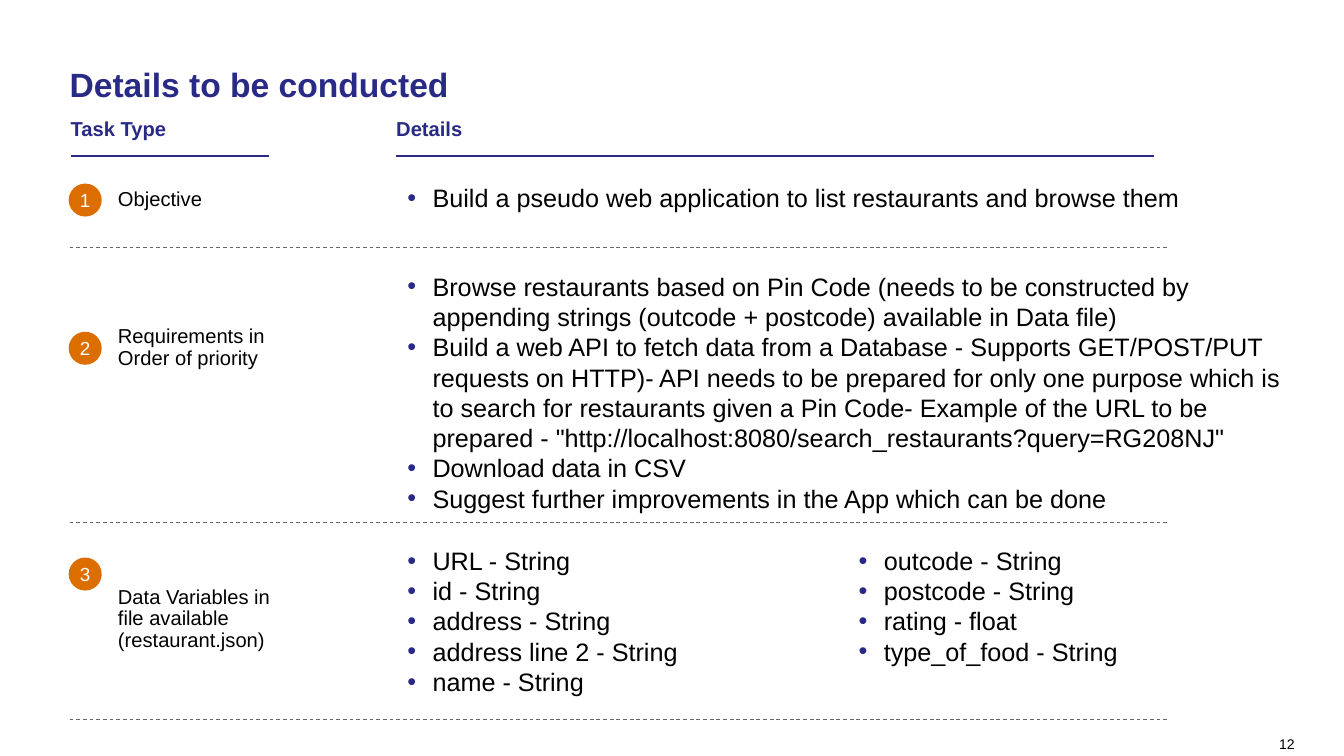
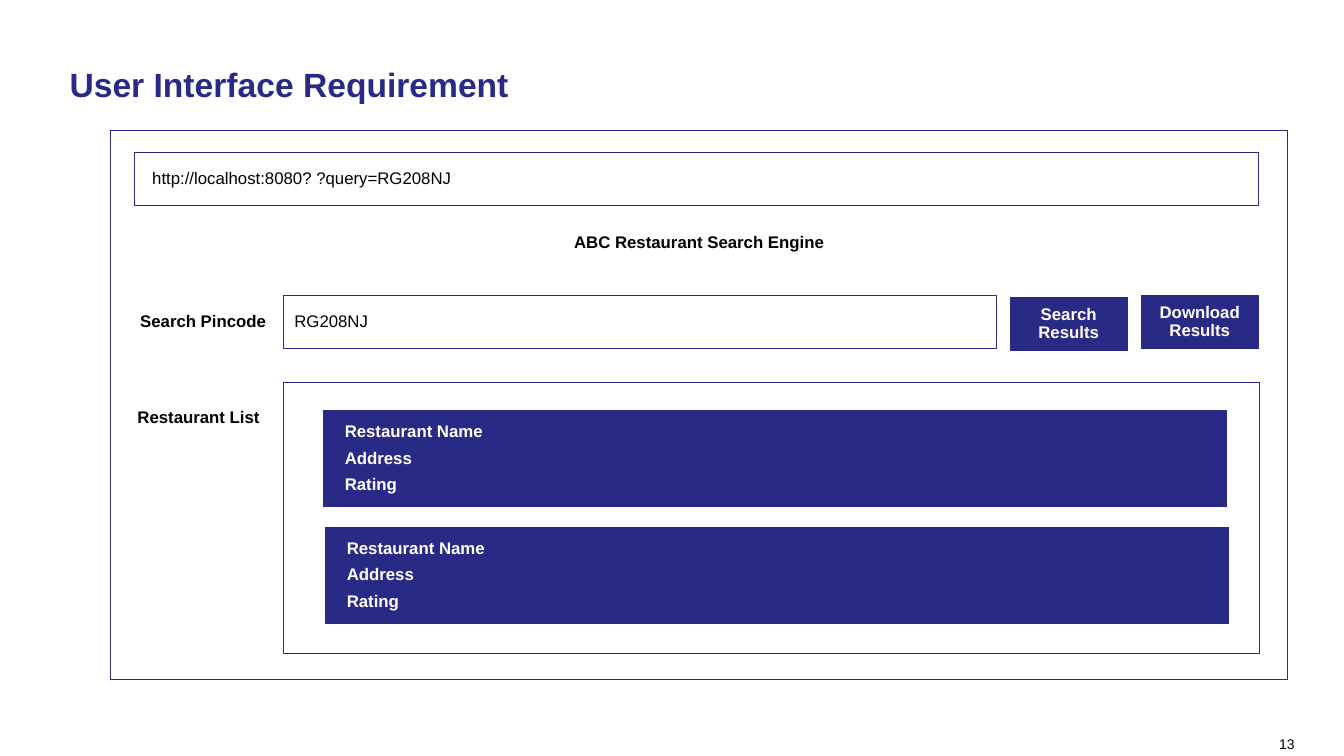
from lxml import etree
from pptx import Presentation
from pptx.dml.color import RGBColor
from pptx.enum.dml import MSO_LINE
from pptx.enum.shapes import MSO_CONNECTOR, MSO_SHAPE
from pptx.enum.text import MSO_ANCHOR, PP_ALIGN
from pptx.oxml.ns import qn
from pptx.util import Inches, Pt

NAVY = RGBColor(0x29, 0x29, 0x86)
ORANGE = RGBColor(0xDC, 0x6E, 0x00)
GREY = RGBColor(0x66, 0x66, 0x66)
BLACK = RGBColor(0x00, 0x00, 0x00)
WHITE = RGBColor(0xFF, 0xFF, 0xFF)
FONT = "Arial"
TITLE_ONLY = 5


def add_bullet(p):
    """Give a paragraph a navy round bullet with a hanging indent."""
    pPr = p._p.get_or_add_pPr()
    pPr.set("marL", str(Inches(0.37)))
    pPr.set("indent", str(Inches(-0.25)))
    color = etree.SubElement(pPr, qn("a:buClr"))
    etree.SubElement(color, qn("a:srgbClr"), val=str(NAVY))
    etree.SubElement(pPr, qn("a:buFont"), typeface=FONT)
    etree.SubElement(pPr, qn("a:buChar"), char="•")


def write(sp, text, size=12, color=BLACK, bold=False, align=PP_ALIGN.LEFT,
          anchor=MSO_ANCHOR.MIDDLE, spacing=0.9, after=6, margins=(0, 0, 0, 0),
          wrap=True, bullets=False, columns=1):
    """Write text into a shape, one paragraph per line."""
    tf = sp.text_frame
    tf.word_wrap = wrap
    tf.vertical_anchor = anchor
    tf.margin_left, tf.margin_top, tf.margin_right, tf.margin_bottom = map(Inches, margins)
    if columns > 1:
        tf._txBody.bodyPr.set("numCol", str(columns))
    for i, line in enumerate(text.split("\n")):
        p = tf.paragraphs[0] if i == 0 else tf.add_paragraph()
        p.alignment = align
        p.line_spacing = spacing
        p.space_before, p.space_after = Pt(0), Pt(after)
        if bullets:
            add_bullet(p)
        r = p.add_run()
        r.text = line
        r.font.name, r.font.size, r.font.bold = FONT, Pt(size), bold
        r.font.color.rgb = color


class Deck:
    def __init__(self):
        self.prs = Presentation()
        self.prs.slide_width, self.prs.slide_height = Inches(13.33), Inches(7.5)
        self.s = None

    def slide(self, title, number):
        """Start a slide with its title and page number."""
        self.s = self.prs.slides.add_slide(self.prs.slide_layouts[TITLE_ONLY])
        sp = self.s.shapes.title
        sp.left, sp.top, sp.width, sp.height = map(Inches, (0.69, 0.68, 10.9, 0.36))
        write(sp, title, size=24, color=NAVY, bold=True, anchor=MSO_ANCHOR.TOP, after=0)
        self.text(str(number), 12.42, 7.29, 0.42, 0.17, size=10, align=PP_ALIGN.RIGHT,
                  anchor=MSO_ANCHOR.BOTTOM, spacing=1.0, after=0)

    def text(self, text, x, y, w, h, **fmt):
        write(self.s.shapes.add_textbox(*map(Inches, (x, y, w, h))), text, **fmt)

    def bullets(self, items, x, y, w, h, columns=1):
        self.text("\n".join(items), x, y, w, h, size=18, anchor=MSO_ANCHOR.TOP,
                  spacing=1.0, after=0, bullets=True, columns=columns)

    def box(self, x, y, w, h, text="", fill=None, line=NAVY, weight=0.75,
            kind=MSO_SHAPE.RECTANGLE, **fmt):
        sp = self.s.shapes.add_shape(kind, *map(Inches, (x, y, w, h)))
        sp.shadow.inherit = False
        if fill is None:
            sp.fill.background()
        else:
            sp.fill.solid()
            sp.fill.fore_color.rgb = fill
        sp.line.color.rgb, sp.line.width = line, Pt(weight)
        if text:
            write(sp, text, **fmt)

    def badge(self, number, x, y):
        self.box(x, y, 0.31, 0.31, str(number), fill=ORANGE, line=ORANGE, weight=1.27,
                 kind=MSO_SHAPE.OVAL, size=13.5, color=WHITE, align=PP_ALIGN.CENTER,
                 spacing=1.0, after=0, wrap=False)

    def button(self, text, x, y):
        self.box(x, y, 1.16, 0.53, text, fill=NAVY, color=WHITE, bold=True,
                 align=PP_ALIGN.CENTER, after=10, margins=(0.1, 0.05, 0.1, 0.05))

    def rule(self, x1, x2, y, color=NAVY, weight=1.35, dash=None):
        ln = self.s.shapes.add_connector(MSO_CONNECTOR.STRAIGHT,
                                         *map(Inches, (x1, y, x2, y)))
        ln.line.color.rgb, ln.line.width = color, Pt(weight)
        if dash:
            ln.line.dash_style = dash
        etree.SubElement(ln._element.spPr, qn("a:effectLst"))


# label, badge top, label top, bullet top, bullet width and height, columns, rule, items
TASKS = [
    ("Objective", 1.83, 1.83, 1.81, 8.65, 0.52, 1, 2.46, [
        "Build a pseudo web application to list restaurants and browse them"]),
    ("Requirements in Order of priority", 3.3, 3.3, 2.69, 8.79, 1.3, 1, 5.18, [
        "Browse restaurants based on Pin Code (needs to be constructed by appending "
        "strings (outcode + postcode) available in Data file)",
        "Build a web API to fetch data from a Database - Supports GET/POST/PUT requests "
        "on HTTP)- API needs to be prepared for only one purpose which is to search for "
        "restaurants given a Pin Code- Example of the URL to be prepared - "
        "\"http://localhost:8080/search_restaurants?query=RG208NJ\"",
        "Download data in CSV",
        "Suggest further improvements in the App which can be done"]),
    ("Data Variables in file available (restaurant.json)", 5.54, 5.99, 5.41, 8.95, 1.27,
     2, 7.14, [
         "URL - String", "id - String", "address - String", "address line 2 - String",
         "name - String", "outcode - String", "postcode - String", "rating - float",
         "type_of_food - String"]),
]


def task_slide(deck):
    deck.slide("Details to be conducted", 12)

    # Column headings
    for heading, x, end in (("Task Type", 0.7, 2.67), ("Details", 3.93, 11.45)):
        deck.text(heading, x, 1.04, 2.92, 0.5, size=14.4, color=NAVY, bold=True)
        deck.rule(x, end, 1.55)

    # Numbered tasks
    for number, task in enumerate(TASKS, 1):
        label, badge_y, label_y, items_y, w, h, columns, rule_y, items = task
        deck.text(label, 1.17, label_y, 1.62, 0.31, size=14.4)
        deck.badge(number, 0.69, badge_y)
        deck.bullets(items, 3.92, items_y, w, h, columns)
        deck.rule(0.69, 11.6, rule_y, GREY, 0.67, MSO_LINE.DASH)


def interface_slide(deck):
    deck.slide("User Interface Requirement", 13)

    # Browser window and address bar
    deck.box(1.1, 1.29, 11.67, 5.45)
    deck.box(1.33, 1.51, 11.15, 0.53, "http://localhost:8080? ?query=RG208NJ",
             margins=(0.18, 0, 0, 0))
    deck.text("ABC Restaurant Search Engine", 5.01, 2.15, 3.85, 0.52, bold=True,
              align=PP_ALIGN.CENTER, wrap=False)

    # Search row
    deck.text("Search Pincode", 1.39, 2.93, 1.28, 0.52, bold=True, wrap=False)
    deck.box(2.81, 2.93, 7.07, 0.53, "RG208NJ", margins=(0.11, 0, 0, 0))
    deck.button("Search Results", 10.02, 2.95)
    deck.button("Download Results", 11.32, 2.93)

    # Result list
    deck.text("Restaurant List", 1.33, 3.89, 1.28, 0.52, bold=True,
              align=PP_ALIGN.CENTER, wrap=False)
    deck.box(2.81, 3.79, 9.68, 2.69)
    for x, y in ((3.21, 4.07), (3.23, 5.23)):
        deck.box(x, y, 8.96, 0.96, "Restaurant Name\nAddress\nRating", fill=NAVY,
                 color=WHITE, bold=True, margins=(0.21, 0, 0, 0))


def main():
    deck = Deck()
    task_slide(deck)
    interface_slide(deck)
    deck.prs.save("out.pptx")


if __name__ == "__main__":
    main()
